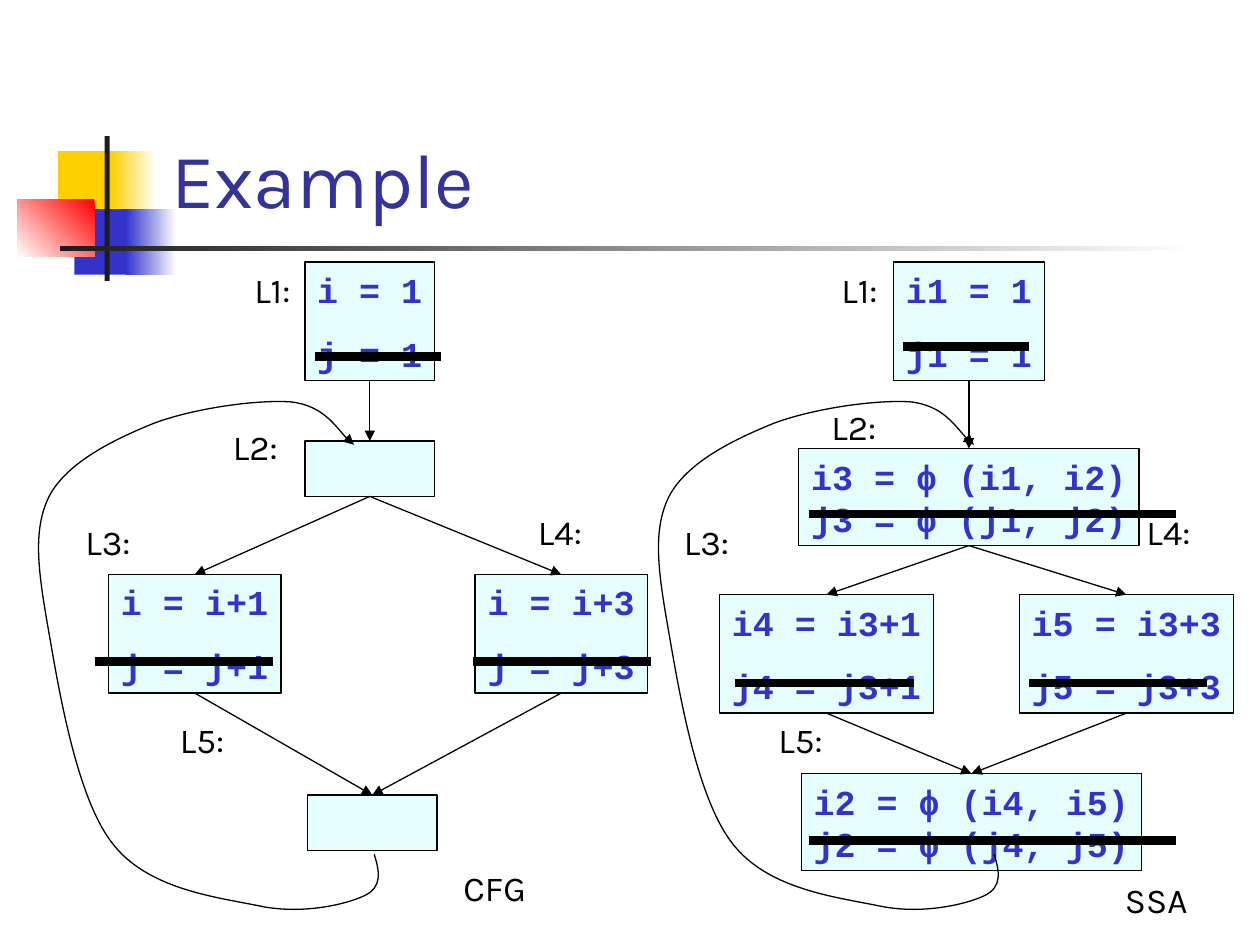
"""Build a slide that compares a control-flow graph with its SSA form."""
from dataclasses import dataclass
from typing import NamedTuple, Optional

import lxml.etree
import pptx
import pptx.dml.color
import pptx.enum.shapes
import pptx.enum.text
import pptx.oxml.ns
import pptx.util

Inches = pptx.util.Inches
Pt = pptx.util.Pt
qn = pptx.oxml.ns.qn


@dataclass(frozen=True)
class Theme:
    title_color: str = "333399"
    code_color: str = "3333CC"
    ink: str = "000000"
    box_fill: str = "CCFFFF"
    box_opacity: int = 50
    white: str = "FFFFFF"
    yellow: str = "FFCF01"
    red: str = "FF0000"
    charcoal: str = "1C1C1C"
    text_font: str = "Karla"
    code_font: str = "Courier New"
    title_size: float = 44
    body_size: float = 20
    space_before: float = 12.5
    thin: float = 0.75
    thick: float = 5


class Bar(NamedTuple):
    left: float
    top: float
    width: float
    height: float
    start: str
    end: Optional[str] = None
    angle: float = 180


class Node(NamedTuple):
    left: float
    top: float
    width: float
    height: float
    lines: tuple[str, ...] = ()
    space_before: float = 0

    @property
    def top_middle(self) -> tuple[float, float]:
        return self.left + self.width / 2, self.top

    @property
    def bottom_middle(self) -> tuple[float, float]:
        return self.left + self.width / 2, self.top + self.height


class Label(NamedTuple):
    text: str
    left: float
    top: float
    width: float = 0.58


class Strike(NamedTuple):
    left: float
    right: float
    y: float


@dataclass(frozen=True)
class Graph:
    nodes: tuple[Node, ...]
    labels: tuple[Label, ...]
    strikes: tuple[Strike, ...]
    loop_shift: float


THEME = Theme()
GAP = THEME.space_before

ORNAMENT = (
    Bar(0.46, 1.2, 0.48, 0.52, THEME.yellow),
    Bar(0.88, 1.2, 0.36, 0.52, THEME.white, THEME.yellow),
    Bar(0.59, 1.66, 0.46, 0.52, THEME.code_color),
    Bar(1, 1.66, 0.4, 0.52, THEME.white, THEME.code_color),
    Bar(0.14, 1.58, 0.61, 0.46, THEME.red, THEME.white, 225),
    Bar(0.83, 1.08, 0.04, 1.15, THEME.charcoal),
    Bar(0.48, 1.95, 9, 0.04, THEME.white, THEME.charcoal),
)

CFG = Graph(
    nodes=(
        Node(2.42, 2.08, 1.03, 0.94, ("i = 1", "j = 1"), GAP),
        Node(2.42, 3.5, 1.03, 0.44),
        Node(0.86, 4.56, 1.37, 0.94, ("i = i+1", "j = j+1"), GAP),
        Node(3.77, 4.56, 1.37, 0.94, ("i = i+3", "j = j+3"), GAP),
        Node(2.44, 6.31, 1.03, 0.44),
    ),
    labels=(
        Label("L1:", 1.92, 2.08), Label("L2:", 1.75, 3.33), Label("L3:", 0.58, 4.08),
        Label("L4:", 4.17, 4), Label("L5:", 1.33, 5.65), Label("CFG", 3.58, 6.83, 0.92),
    ),
    strikes=(Strike(2.5, 3.5, 2.83), Strike(0.75, 2.17, 5.25), Strike(3.75, 5.17, 5.25)),
    loop_shift=0,
)

SSA = Graph(
    nodes=(
        Node(7.09, 2.08, 1.2, 0.94, ("i1 = 1", "j1 = 1"), GAP),
        Node(6.34, 3.56, 2.7, 0.77, ("i3 = ϕ (i1, i2)", "j3 = ϕ (j1, j2)")),
        Node(5.71, 4.72, 1.7, 0.94, ("i4 = i3+1", "j4 = j3+1"), GAP),
        Node(8.09, 4.72, 1.7, 0.94, ("i5 = i3+3", "j5 = j3+3"), GAP),
        Node(6.36, 6.14, 2.7, 0.77, ("i2 = ϕ (i4, i5)", "j2 = ϕ (j4, j5)")),
    ),
    labels=(
        Label("L1:", 6.58, 2.08), Label("L2:", 6.5, 3.17), Label("L3:", 5.33, 4.08),
        Label("L4:", 9, 4), Label("L5:", 6.08, 5.65), Label("SSA", 8.83, 6.92, 0.92),
    ),
    strikes=(
        Strike(7.17, 8.17, 2.75), Strike(6.42, 9.33, 4.08), Strike(5.83, 7.25, 5.42),
        Strike(8.17, 9.58, 5.42), Strike(6.42, 9.33, 6.67),
    ),
    loop_shift=4.92,
)

EDGES = ((0, 1), (1, 2), (1, 3), (2, 4), (3, 4))

LOOP = (
    (2.97, 6.78), (3.01, 6.91), (3.04, 7.04), (2.89, 7.11), (2.74, 7.18), (2.39, 7.26),
    (2.06, 7.19), (1.72, 7.12), (1.17, 7.06), (0.89, 6.69), (0.61, 6.33), (0.47, 5.49),
    (0.39, 5.03), (0.31, 4.57), (0.25, 4.22), (0.39, 3.94), (0.53, 3.67), (0.9, 3.49),
    (1.22, 3.36), (1.54, 3.24), (2.04, 3.17), (2.31, 3.19), (2.57, 3.22), (2.72, 3.47),
    (2.81, 3.53),
)


def rgb(code: str) -> pptx.dml.color.RGBColor:
    return pptx.dml.color.RGBColor.from_string(code)


def style_line(shape, weight: float, arrow: bool = False) -> None:
    shape.line.color.rgb = rgb(THEME.ink)
    shape.line.width = Pt(weight)
    if arrow:
        outline = shape._element.spPr.find(qn("a:ln"))
        lxml.etree.SubElement(outline, qn("a:tailEnd"), type="triangle")


def add_rectangle(slide, item):
    box = slide.shapes.add_shape(
        pptx.enum.shapes.MSO_SHAPE.RECTANGLE, *map(Inches, (item.left, item.top, item.width, item.height)))
    box.shadow.inherit = False
    return box


def draw_bar(slide, bar: Bar) -> None:
    box = add_rectangle(slide, bar)
    box.line.fill.background()
    if bar.end is None:
        box.fill.solid()
        box.fill.fore_color.rgb = rgb(bar.start)
        return
    box.fill.gradient()
    box.fill.gradient_angle = bar.angle
    for stop, color in zip(box.fill.gradient_stops, (bar.start, bar.end)):
        stop.color.rgb = rgb(color)


def style_font(para, face: str, size: float, color: str, bold: bool = False) -> None:
    para.font.name, para.font.size, para.font.bold = face, Pt(size), bold
    para.font.color.rgb = rgb(color)


def draw_node(slide, node: Node) -> None:
    box = add_rectangle(slide, node)
    box.fill.solid()
    box.fill.fore_color.rgb = rgb(THEME.box_fill)
    color = box._element.spPr.find(qn("a:solidFill")).find(qn("a:srgbClr"))
    lxml.etree.SubElement(color, qn("a:alpha"), val=str(THEME.box_opacity * 1000))
    style_line(box, THEME.thin)
    if not node.lines:
        return
    frame = box.text_frame
    frame.word_wrap = False
    frame.vertical_anchor = pptx.enum.text.MSO_ANCHOR.MIDDLE
    frame.text = "\n".join(node.lines)
    for para in frame.paragraphs:
        para.alignment = pptx.enum.text.PP_ALIGN.CENTER
        para.space_before = Pt(node.space_before)
        style_font(para, THEME.code_font, THEME.body_size, THEME.code_color, True)


def draw_text(slide, label: Label, height: float, size: float, color: str, space: float = 0):
    box = slide.shapes.add_textbox(*map(Inches, (label.left, label.top, label.width, height)))
    frame = box.text_frame
    frame.word_wrap = True
    frame.text = label.text
    para = frame.paragraphs[0]
    para.space_before = Pt(space)
    style_font(para, THEME.text_font, size, color)
    return frame


def draw_line(slide, start: tuple, end: tuple, weight: float, arrow: bool = False) -> None:
    line = slide.shapes.add_connector(
        pptx.enum.shapes.MSO_CONNECTOR.STRAIGHT, *map(Inches, (*start, *end)))
    style_line(line, weight, arrow)
    lxml.etree.SubElement(line._element.spPr, qn("a:effectLst"))


def draw_loop(slide, shift: float) -> None:
    points = [(Inches(x + shift), Inches(y)) for x, y in LOOP]
    builder = slide.shapes.build_freeform(*points[0])
    builder.add_line_segments(points[1:], close=False)
    loop = builder.convert_to_shape()
    segments = list(loop._element.iter(qn("a:lnTo")))
    outline = segments[0].getparent()
    for first in range(0, len(segments), 3):
        curve = lxml.etree.SubElement(outline, qn("a:cubicBezTo"))
        for segment in segments[first:first + 3]:
            curve.append(segment[0])
            outline.remove(segment)
    loop.shadow.inherit = False
    loop.fill.background()
    style_line(loop, THEME.thin, arrow=True)


def draw_graph(slide, graph: Graph) -> None:
    for node in graph.nodes:
        draw_node(slide, node)
    for label in graph.labels:
        draw_text(slide, label, 0.44, THEME.body_size, THEME.ink, GAP)
    for source, target in EDGES:
        draw_line(slide, graph.nodes[source].bottom_middle, graph.nodes[target].top_middle, THEME.thin, True)
    draw_loop(slide, graph.loop_shift)
    for strike in graph.strikes:
        draw_line(slide, (strike.left, strike.y), (strike.right, strike.y), THEME.thick)


def main() -> None:
    deck = pptx.Presentation()
    deck.slide_width, deck.slide_height = Inches(10), Inches(7.5)
    page = deck.slides.add_slide(deck.slide_layouts[6])
    for bar in ORNAMENT:
        draw_bar(page, bar)
    title = draw_text(page, Label("Example", 1.26, 0.23, 8.52), 1.6, THEME.title_size, THEME.title_color)
    title.vertical_anchor = pptx.enum.text.MSO_ANCHOR.BOTTOM
    for graph in (CFG, SSA):
        draw_graph(page, graph)
    deck.save("out.pptx")


if __name__ == "__main__":
    main()
